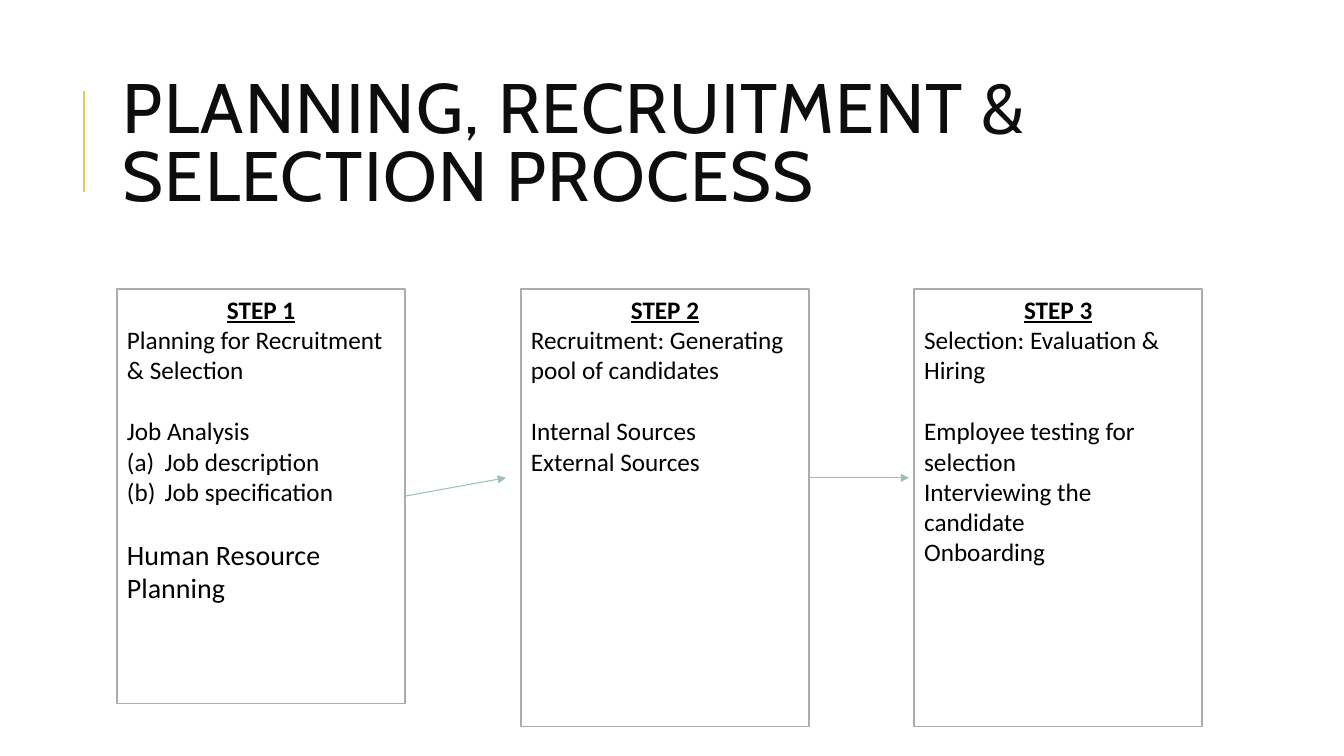
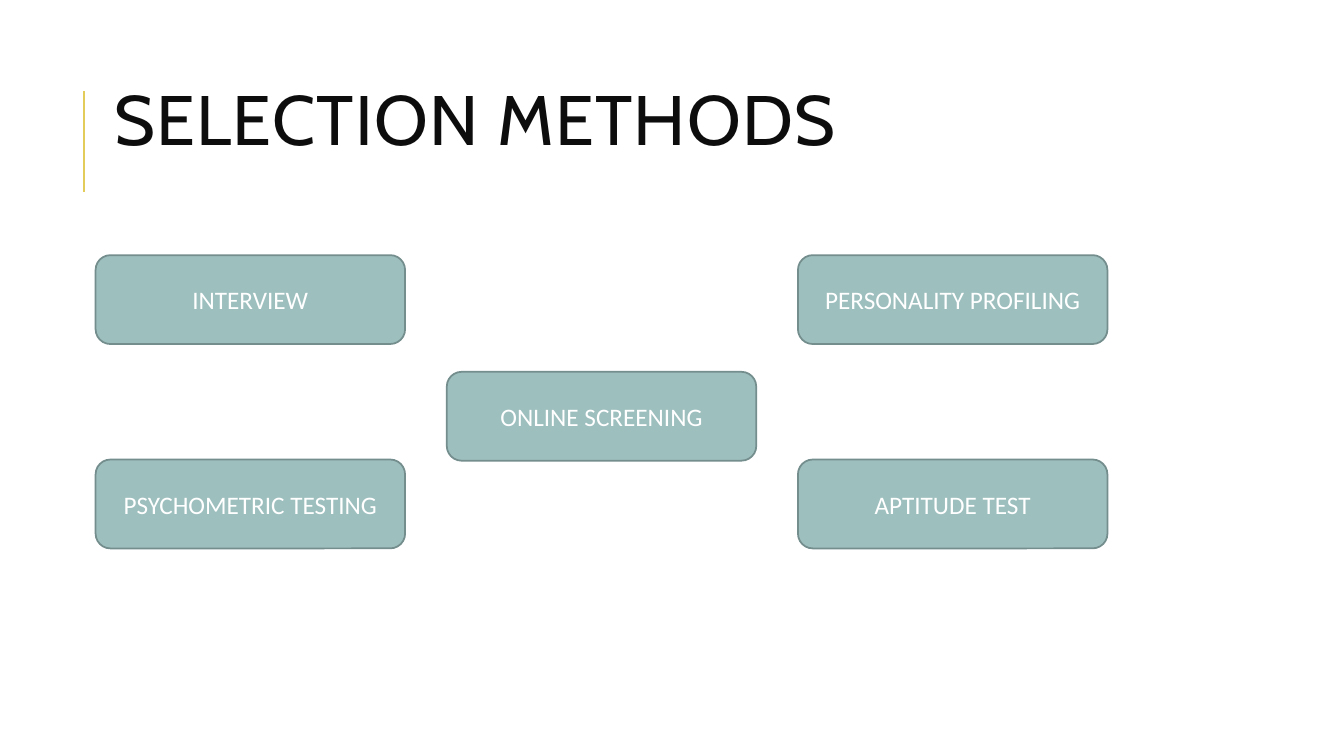
import dataclasses

import lxml.etree
import pptx
import pptx.dml.color
import pptx.enum.shapes
import pptx.enum.text
import pptx.oxml.ns
import pptx.util

Cm, Pt = pptx.util.Cm, pptx.util.Pt
RGB = pptx.dml.color.RGBColor.from_string
ALIGN, ANCHOR = pptx.enum.text.PP_ALIGN, pptx.enum.text.MSO_ANCHOR
SHAPE = pptx.enum.shapes.MSO_SHAPE
STRAIGHT = pptx.enum.shapes.MSO_CONNECTOR.STRAIGHT
qn = pptx.oxml.ns.qn


@dataclasses.dataclass(frozen=True)
class Theme:
    accent: str = "E3CC5A"
    title_ink: str = "0D0D0D"
    ink: str = "000000"
    paper: str = "FFFFFF"
    box_line: str = "ACADA8"
    teal: str = "9DBFBE"
    teal_line: str = "748D8D"
    title_font: str = "Cabin"
    body_font: str = "Calibri"
    title_size: int = 50
    body_size: int = 18
    large_size: int = 20


theme = Theme()
TITLE = {"name": theme.title_font, "size": Pt(theme.title_size)}
BODY = {"name": theme.body_font, "size": Pt(theme.body_size)}
HEADING = BODY | {"bold": True, "underline": True}
LARGE = BODY | {"size": Pt(theme.large_size)}


def write(p, text, values, color):
    r = p.add_run()
    r.text = text
    for name, value in values.items():
        setattr(r.font, name, value)
    r.font.color.rgb = RGB(color)


def outline(sp, color, width):
    """Give a shape or connector a plain line without a shadow."""
    sp.line.color.rgb = RGB(color)
    sp.line.width = Pt(width)
    lxml.etree.SubElement(sp.element.spPr, qn("a:effectLst"))


prs = pptx.Presentation()
prs.slide_width, prs.slide_height = Cm(33.87), Cm(19.05)
layout = prs.slide_layouts.get_by_name("Title Only")

# Titles
titles = [
    ("PLANNING, RECRUITMENT & SELECTION PROCESS", 2.84, 1.63),
    ("SELECTION METHODS", 2.62, 1.07),
]
for text, left, top in titles:
    s = prs.slides.add_slide(layout)
    title = s.shapes.title
    title.left, title.top, title.width, title.height = Cm(left), Cm(top), Cm(27), Cm(4.17)
    tf = title.text_frame
    tf.vertical_anchor = ANCHOR.MIDDLE
    p = tf.paragraphs[0]
    p.alignment, p.line_spacing = ALIGN.LEFT, 0.8
    write(p, text, TITLE, theme.title_ink)
    for properties in title.element.iter(qn("a:rPr")):
        properties.set("spc", "100")

process, methods = prs.slides

# Accent line, moved to the layout that both slides share
accent = process.shapes.add_connector(STRAIGHT, Cm(2.11), Cm(4.83), Cm(2.11), Cm(2.29))
outline(accent, theme.accent, 1.5)
layout.shapes.element.append(accent.element)

# Process steps: left, height, heading, groups of lines
steps = [
    (2.95, 10.44, "STEP 1", [
        ["Planning for Recruitment & Selection"],
        ["Job Analysis", "(a) Job description", "(b) Job specification"],
        ["Human Resource Planning"],
    ]),
    (13.13, 11.02, "STEP 2", [
        ["Recruitment: Generating pool of candidates"],
        ["Internal Sources", "External Sources"],
    ]),
    (23.04, 11.02, "STEP 3", [
        ["Selection: Evaluation & Hiring"],
        ["Employee testing for selection", "Interviewing the candidate", "Onboarding"],
    ]),
]
for left, height, heading, groups in steps:
    sp = process.shapes.add_shape(SHAPE.RECTANGLE, Cm(left), Cm(7.29), Cm(7.26), Cm(height))
    outline(sp, theme.box_line, 1.25)
    sp.fill.solid()
    sp.fill.fore_color.rgb = RGB(theme.paper)
    tf = sp.text_frame
    tf.word_wrap, tf.vertical_anchor = True, ANCHOR.TOP
    p = tf.paragraphs[0]
    p.alignment = ALIGN.CENTER
    write(p, heading, HEADING, theme.ink)
    for g, group in enumerate(groups):
        for i, text in enumerate(group):
            p = tf.add_paragraph()
            p.alignment = ALIGN.LEFT
            if g and not i:
                p.space_before = Pt(22)
            if text.startswith("("):
                text = text[4:]
                pPr = p._p.get_or_add_pPr()
                pPr.set("marL", str(Cm(0.95)))
                pPr.set("indent", str(-Cm(0.95)))
                lxml.etree.SubElement(pPr, qn("a:buAutoNum"), type="alphaLcParenBoth")
            write(p, text, LARGE if g == 2 else BODY, theme.ink)

for ends in [(10.21, 12.5, 12.75, 12.04), (20.35, 12.04, 22.91, 12.04)]:
    arrow = process.shapes.add_connector(STRAIGHT, *map(Cm, ends))
    outline(arrow, theme.teal, 0.75)
    lxml.etree.SubElement(arrow.element.spPr.find(qn("a:ln")), qn("a:tailEnd"), type="triangle")

# Selection methods: column, top, label
cards = [
    (0, 6.43, "INTERVIEW"),
    (0, 11.58, "PSYCHOMETRIC TESTING"),
    (2, 11.58, "APTITUDE TEST"),
    (2, 6.43, "PERSONALITY PROFILING"),
    (1, 9.37, "ONLINE SCREENING"),
]
for column, top, label in cards:
    sp = methods.shapes.add_shape(
        SHAPE.ROUNDED_RECTANGLE, Cm(2.41 + 8.85 * column), Cm(top), Cm(7.8), Cm(2.24))
    outline(sp, theme.teal_line, 1.25)
    sp.fill.solid()
    sp.fill.fore_color.rgb = RGB(theme.teal)
    tf = sp.text_frame
    tf.word_wrap, tf.vertical_anchor = True, ANCHOR.MIDDLE
    p = tf.paragraphs[0]
    p.alignment = ALIGN.CENTER
    write(p, label, BODY, theme.paper)

prs.save("out.pptx")
